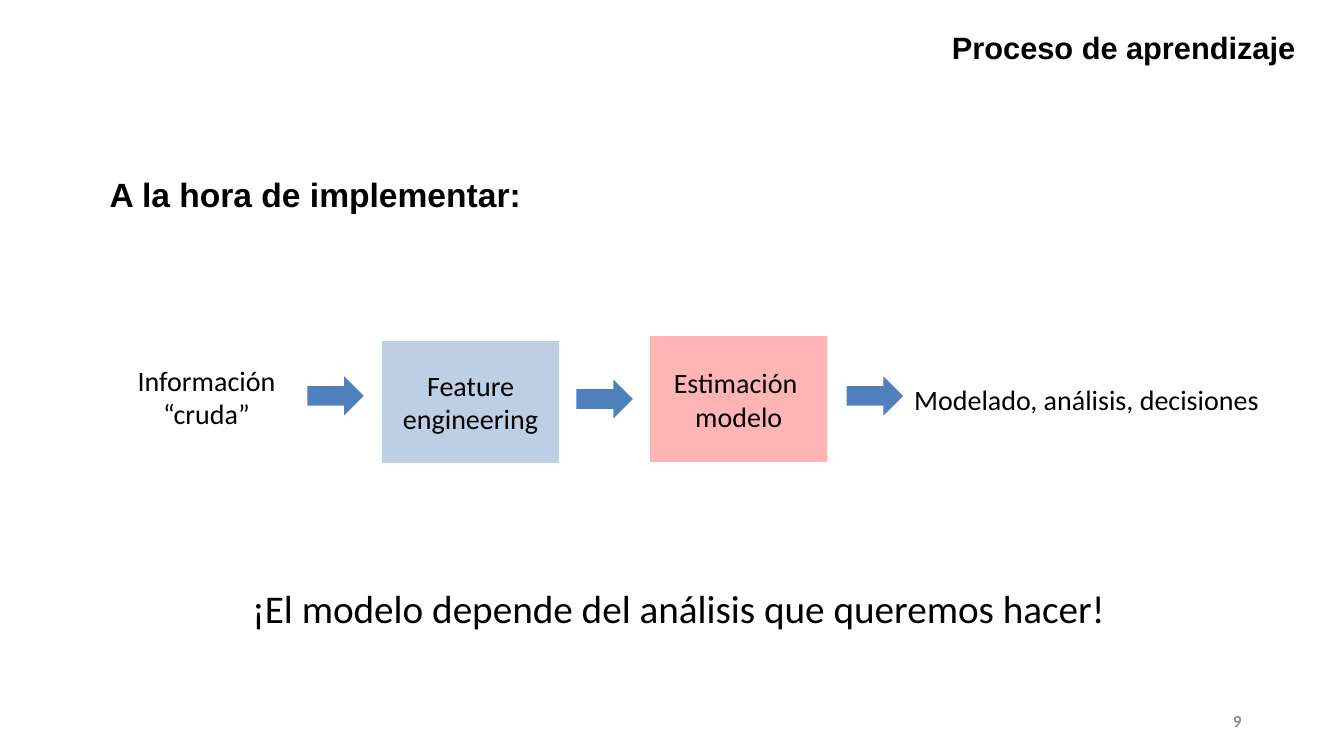
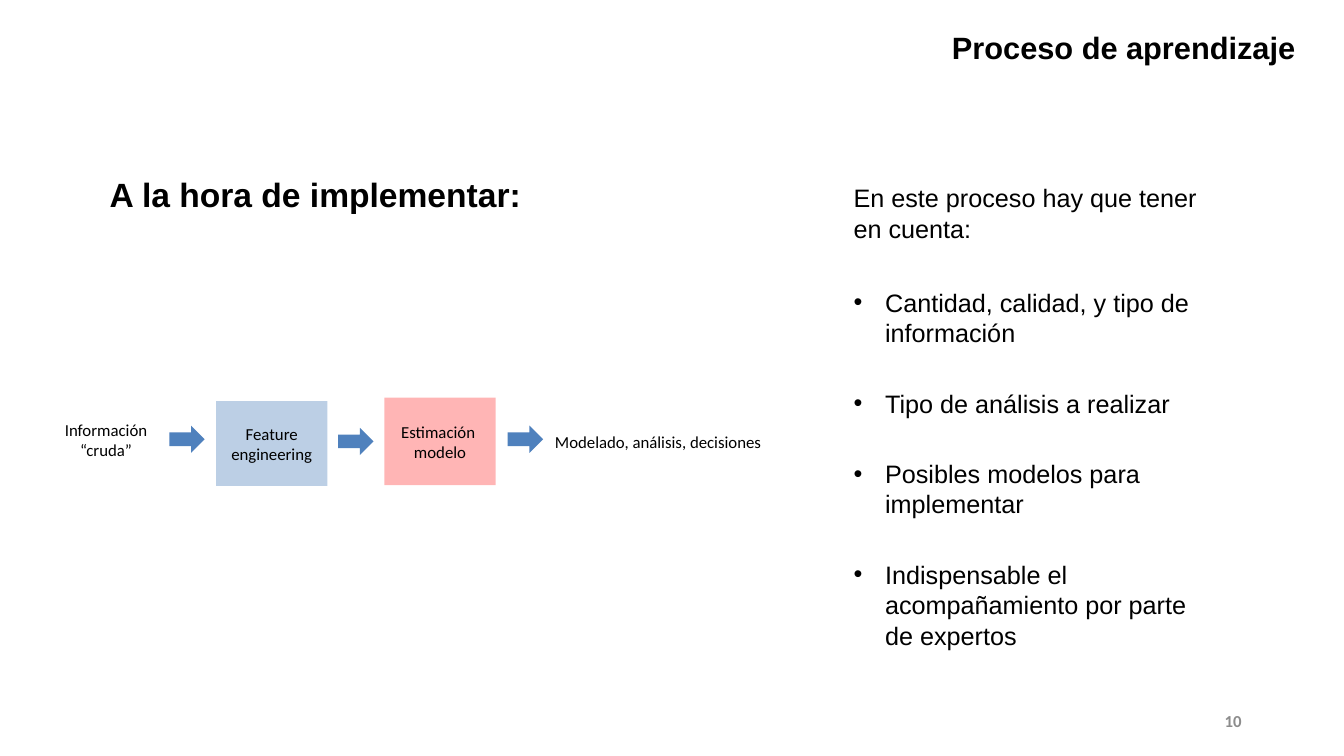
from lxml import etree
from pptx import Presentation
from pptx.dml.color import RGBColor
from pptx.enum import shapes, text
from pptx.oxml import ns
from pptx.util import Pt

BLACK = RGBColor(0x00, 0x00, 0x00)
GRAY = RGBColor(0x8C, 0x8C, 0x8C)
BLUE = RGBColor(0x4F, 0x81, 0xBD)
RED = RGBColor(0xFF, 0x00, 0x00)

HEADING_FONT = "Arial"
DIAGRAM_FONT = "Calibri"
LEFT, CENTER, RIGHT = text.PP_ALIGN.LEFT, text.PP_ALIGN.CENTER, text.PP_ALIGN.RIGHT
TOP, MIDDLE = text.MSO_ANCHOR.TOP, text.MSO_ANCHOR.MIDDLE

TITLE_ONLY, TITLE_AND_BODY = 5, 1

# Process diagram: natural size, and its parts as kind, lines, left, top, width, height
FLOW_WIDTH, FLOW_HEIGHT = 825, 90
FLOW_PARTS = [
    ("label", ["Información “cruda”"], 0, 0, 126.7, 87),
    ("arrow", None, 135.4, 28.8, 40.3, 28),
    ("feature", ["Feature engineering"], 188.6, 3.6, 126.7, 87),
    ("arrow", None, 327.6, 31, 40.3, 28),
    ("model", ["Estimación ", "modelo"], 380.2, 0, 126.7, 90),
    ("arrow", None, 520.6, 28.8, 40.3, 28),
    ("label", ["Modelado, análisis, decisiones"], 558.7, 0, 266.4, 90),
]
# Fill colour and opacity in percent
FLOW_FILLS = {"arrow": (BLUE, 100), "feature": (BLUE, 38), "model": (RED, 29)}


def write(shape, lines, size, font=HEADING_FONT, bold=False, color=BLACK,
          align=LEFT, anchor=TOP):
    """Fill a shape with one paragraph per line and return the paragraphs."""
    frame = shape.text_frame
    frame.word_wrap = True
    frame.auto_size = text.MSO_AUTO_SIZE.NONE
    frame.vertical_anchor = anchor
    frame.text = "\n".join(lines)
    for paragraph in frame.paragraphs:
        paragraph.alignment = align
        for run in paragraph.runs:
            run.font.name, run.font.size = font, Pt(size)
            run.font.bold, run.font.color.rgb = bold, color
    return frame.paragraphs


def place(shape, left, top, width, height):
    shape.left, shape.top = Pt(left), Pt(top)
    shape.width, shape.height = Pt(width), Pt(height)


def add_text(slide_shapes, lines, left, top, width, height, **text_format):
    box = slide_shapes.add_textbox(Pt(left), Pt(top), Pt(width), Pt(height))
    write(box, lines, **text_format)


def add_filled(slide_shapes, kind, left, top, width, height):
    preset = (shapes.MSO_SHAPE.RIGHT_ARROW if kind == "arrow"
              else shapes.MSO_SHAPE.RECTANGLE)
    shape = slide_shapes.add_shape(preset, Pt(left), Pt(top), Pt(width), Pt(height))
    color, opacity = FLOW_FILLS[kind]
    shape.shadow.inherit = False
    shape.line.fill.background()
    shape.fill.solid()
    shape.fill.fore_color.rgb = color
    if opacity < 100:
        color_element = shape.fill._xPr.find(".//" + ns.qn("a:srgbClr"))
        etree.SubElement(color_element, ns.qn("a:alpha")).set("val", str(opacity * 1000))
    return shape


def add_flow(slide, left, top, width, height, size):
    """Draw the process diagram, scaled to its box."""
    group = slide.shapes.add_group_shape()
    scale_x, scale_y = width / FLOW_WIDTH, height / FLOW_HEIGHT
    text_format = dict(size=size, font=DIAGRAM_FONT, align=CENTER, anchor=MIDDLE)
    for kind, lines, x, y, part_width, part_height in FLOW_PARTS:
        box = (left + x * scale_x, top + y * scale_y,
               part_width * scale_x, part_height * scale_y)
        if kind == "label":
            add_text(group.shapes, lines, *box, **text_format)
        else:
            shape = add_filled(group.shapes, kind, *box)
            if lines:
                write(shape, lines, **text_format)


def add_considerations(body, left, top, width, height):
    """Introductory sentence followed by a bulleted list."""
    place(body, left, top, width, height)
    paragraphs = write(body, [
        "En este proceso hay que tener en cuenta:",
        "Cantidad, calidad, y tipo de información",
        "Tipo de análisis a realizar",
        "Posibles modelos para implementar",
        "Indispensable el acompañamiento por parte de expertos",
    ], size=18)
    for index, paragraph in enumerate(paragraphs):
        paragraph.line_spacing = Pt(21.8)
        paragraph.space_before = Pt((0, 31)[index] if index < 2 else 28.5)
        indent = Pt(22.5) if index else 0
        properties = paragraph._p.get_or_add_pPr()
        properties.set("marL", str(indent))
        properties.set("indent", str(-indent))
        if index:
            etree.SubElement(properties, ns.qn("a:buChar")).set("char", "•")
        else:
            etree.SubElement(properties, ns.qn("a:buNone"))


def add_slide(presentation, layout, number):
    """Slide with the shared title, subtitle and page number."""
    slide = presentation.slides.add_slide(presentation.slide_layouts[layout])
    title = slide.shapes.title
    place(title, 316, 10, 616.5, 47)
    write(title, ["Proceso de aprendizaje"], size=22, bold=True,
          align=RIGHT, anchor=MIDDLE)
    add_text(slide.shapes, ["A la hora de implementar:"], 71.3, 121, 318, 36,
             size=24, bold=True)
    add_text(slide.shapes, [str(number)], 678, 500.5, 216, 29, size=12,
             font=DIAGRAM_FONT, bold=True, color=GRAY, align=RIGHT, anchor=MIDDLE)
    return slide


def build_process_slide(presentation):
    slide = add_slide(presentation, TITLE_ONLY, 9)
    add_flow(slide, 84.2, 240, FLOW_WIDTH, FLOW_HEIGHT, size=20)
    add_text(slide.shapes, ["¡El modelo depende del análisis que queremos hacer!"],
             173, 414, 630, 41, size=28, font=DIAGRAM_FONT)


def build_considerations_slide(presentation):
    slide = add_slide(presentation, TITLE_AND_BODY, 10)
    add_flow(slide, 36, 284, 517.7, 62.6, size=12)
    add_considerations(slide.placeholders[1], 602.5, 126.5, 276.5, 351)


def main():
    presentation = Presentation()
    presentation.slide_width, presentation.slide_height = Pt(960), Pt(540)
    build_process_slide(presentation)
    build_considerations_slide(presentation)
    presentation.save("out.pptx")


if __name__ == "__main__":
    main()
